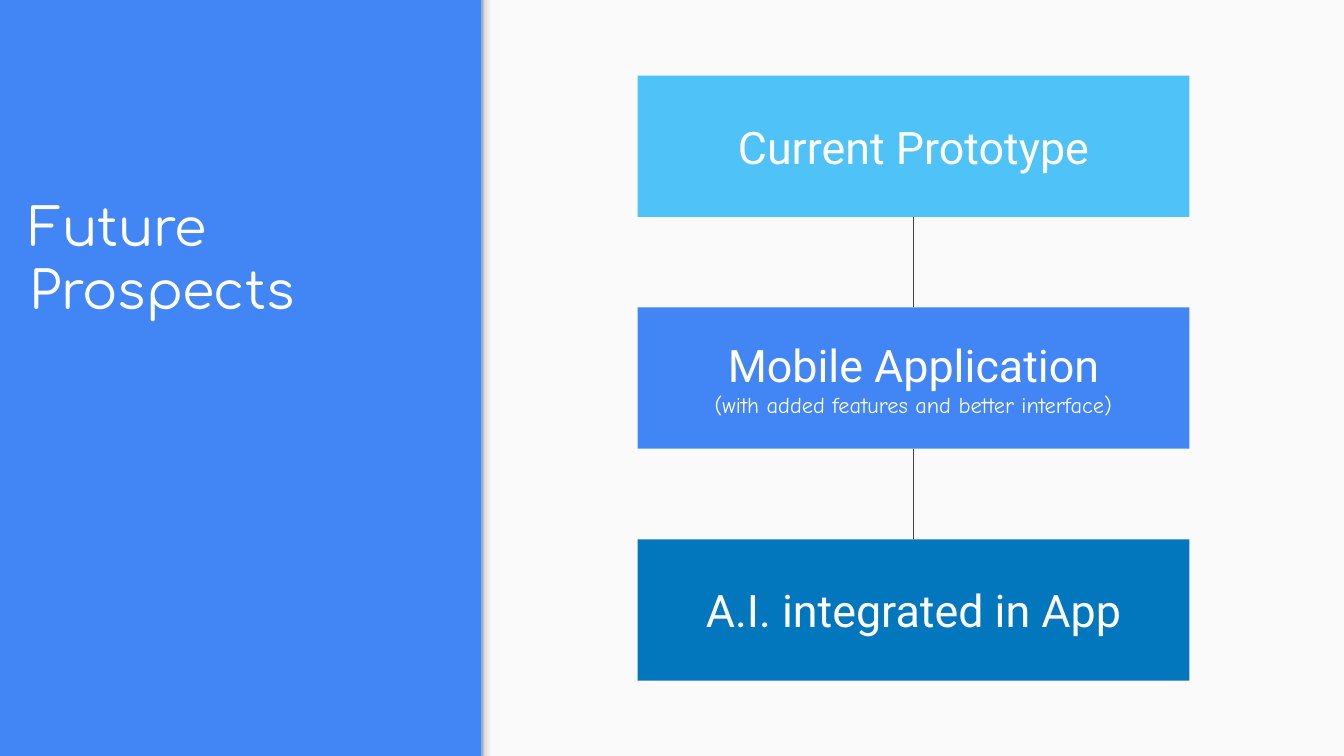
from copy import deepcopy
from dataclasses import dataclass

from lxml.etree import SubElement
from pptx import Presentation
from pptx.dml.color import RGBColor
from pptx.enum.shapes import MSO_CONNECTOR, MSO_SHAPE
from pptx.enum.text import MSO_ANCHOR as ANCHOR, MSO_AUTO_SIZE, PP_ALIGN as ALIGN
from pptx.oxml.ns import qn
from pptx.shapes.autoshape import Shape
from pptx.slide import Slide
from pptx.text.text import TextFrame
from pptx.util import Pt

WHITE = RGBColor(0xFF, 0xFF, 0xFF)
BLUE = RGBColor(0x42, 0x85, 0xF4)
SKY = RGBColor(0x4F, 0xC3, 0xF7)
DEEP_BLUE = RGBColor(0x02, 0x77, 0xBD)
PAPER = RGBColor(0xFA, 0xFA, 0xFA)
LINE_GREY = RGBColor(0x42, 0x42, 0x42)
EDGE_STOPS = [
    (0, RGBColor(0x99, 0x99, 0x99)),
    (0.2, RGBColor(0xDE, 0xDE, 0xDE)),
    (0.64, RGBColor(0xF9, 0xF9, 0xF9)),
    (1, RGBColor(0xF9, 0xF9, 0xF9)),
]

SLIDE_W, SLIDE_H = 720, 405
PANEL_X = 258
EDGE_W = 8.5
BOX_X, BOX_Y, BOX_W, BOX_H = 341.6, 40.5, 295.6, 75.7
BOX_PITCH = 124.2


@dataclass
class Line:
    text: str
    size: float = 24
    font: str = "Roboto"


@dataclass
class Stage:
    fill: RGBColor
    lines: list[Line]


STAGES = [
    Stage(SKY, [Line("Current Prototype")]),
    Stage(BLUE, [
        Line("Mobile Application"),
        Line("(with added features and better interface)", 12, "Comic Neue"),
    ]),
    Stage(DEEP_BLUE, [Line("A.I. integrated in App")]),
]


def write(tf: TextFrame, lines: list[Line], align: ALIGN, anchor: ANCHOR) -> None:
    tf.word_wrap = True
    tf.auto_size = MSO_AUTO_SIZE.NONE
    tf.vertical_anchor = anchor
    tf.margin_left = tf.margin_right = tf.margin_top = tf.margin_bottom = Pt(7.2)
    for i, line in enumerate(lines):
        p = tf.add_paragraph() if i else tf.paragraphs[0]
        p.alignment = align
        r = p.add_run()
        r.text = line.text
        r.font.size = Pt(line.size)
        r.font.name = line.font
        r.font.color.rgb = WHITE


def add_rect(s: Slide, x: float, y: float, w: float, h: float) -> Shape:
    sp = s.shapes.add_shape(MSO_SHAPE.RECTANGLE, Pt(x), Pt(y), Pt(w), Pt(h))
    sp.shadow.inherit = False
    sp.line.fill.background()
    return sp


def add_panel(s: Slide) -> None:
    """Draw the light right-hand panel with a soft edge on its left."""
    panel = add_rect(s, PANEL_X, 0, SLIDE_W - PANEL_X, SLIDE_H)
    panel.fill.solid()
    panel.fill.fore_color.rgb = PAPER

    edge = add_rect(s, PANEL_X, 0, EDGE_W, SLIDE_H)
    edge.fill.gradient()
    edge.fill.gradient_angle = 0
    stop_list = edge._element.spPr.find(qn("a:gradFill")).find(qn("a:gsLst"))
    while len(stop_list) < len(EDGE_STOPS):
        stop_list.append(deepcopy(stop_list[0]))
    for stop, (position, color) in zip(edge.fill.gradient_stops, EDGE_STOPS):
        stop.position = position
        stop.color.rgb = color


def add_stage(s: Slide, stage: Stage, y: float) -> Shape:
    sp = add_rect(s, BOX_X, y, BOX_W, BOX_H)
    sp.fill.solid()
    sp.fill.fore_color.rgb = stage.fill
    write(sp.text_frame, stage.lines, ALIGN.CENTER, ANCHOR.MIDDLE)
    return sp


def join(s: Slide, upper: Shape, lower: Shape) -> None:
    link = s.shapes.add_connector(MSO_CONNECTOR.STRAIGHT, 0, 0, 0, 0)
    link.begin_connect(upper, 2)
    link.end_connect(lower, 0)
    link.line.color.rgb = LINE_GREY
    link.line.width = Pt(0.75)
    SubElement(link._element.spPr, qn("a:effectLst"))


def main() -> None:
    prs = Presentation()
    prs.slide_width, prs.slide_height = Pt(SLIDE_W), Pt(SLIDE_H)
    s = prs.slides.add_slide(prs.slide_layouts[5])
    s.background.fill.solid()
    s.background.fill.fore_color.rgb = BLUE
    add_panel(s)

    title = s.shapes.title
    title.left, title.top = Pt(8.6), Pt(85.7)
    title.width, title.height = Pt(243.4), Pt(92.9)
    write(title.text_frame, [Line("Future Prospects", 28, "Comfortaa")],
          ALIGN.LEFT, ANCHOR.BOTTOM)

    boxes = [add_stage(s, stage, BOX_Y + i * BOX_PITCH)
             for i, stage in enumerate(STAGES)]
    for upper, lower in zip(boxes, boxes[1:]):
        join(s, upper, lower)

    prs.save("out.pptx")


if __name__ == "__main__":
    main()
